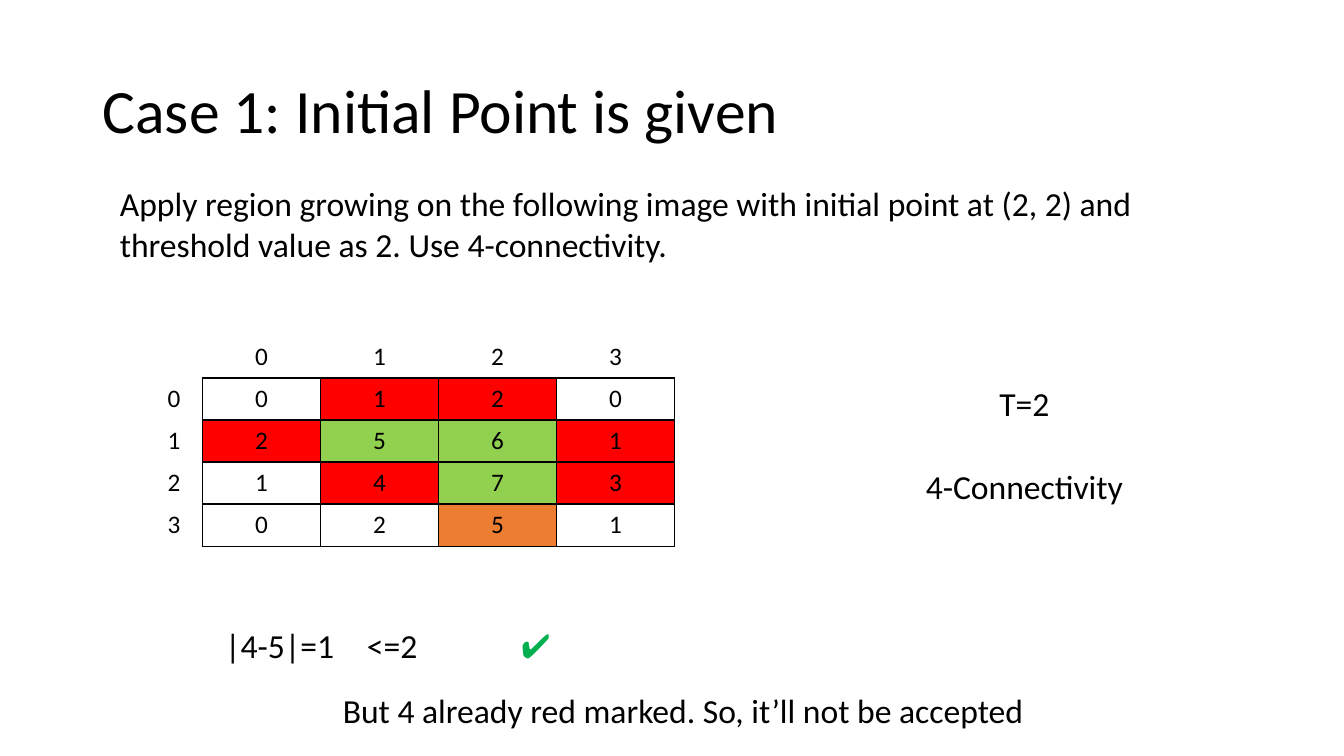
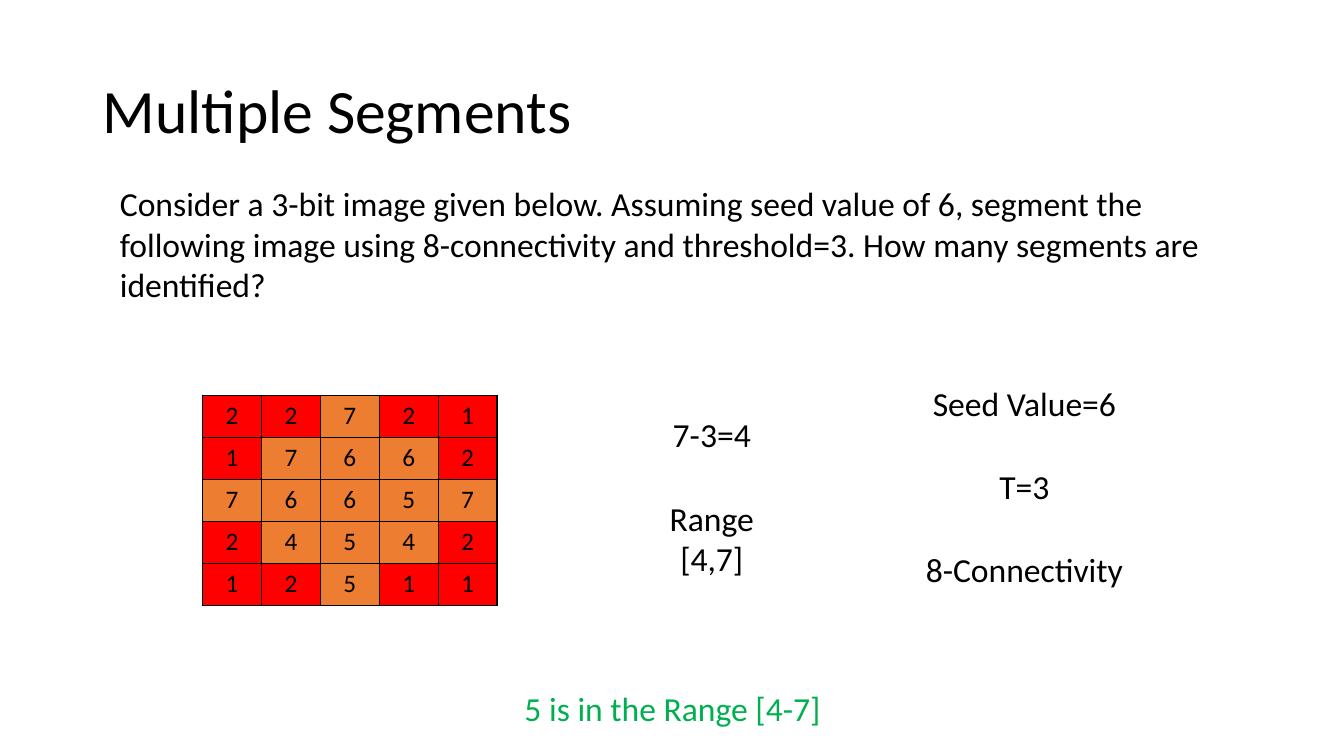
"""Build two slides on region growing in image segmentation."""
from dataclasses import dataclass

import lxml.etree
import pptx
import pptx.dml.color
import pptx.enum.text
import pptx.oxml.ns
import pptx.slide
import pptx.table
import pptx.util

Inches = pptx.util.Inches
Align = pptx.enum.text.PP_ALIGN
Anchor = pptx.enum.text.MSO_ANCHOR


@dataclass(frozen=True)
class Theme:
    font: str = "Calibri"
    ink: str = "000000"
    accent: str = "00B050"
    rejected: str = "FF0000"
    accepted: str = "92D050"
    current: str = "ED7D31"
    title_size: int = 44
    body_size: int = 24
    cell_size: int = 18
    border_width: int = 1


THEME = Theme()
MARKS = {"r": THEME.rejected, "g": THEME.accepted, "o": THEME.current}
ROW_HEIGHT = 0.417
GRID_LEFT = 2.01
FACTS_TOP = 3.75
FACTS_STEP = 0.825


@dataclass(frozen=True)
class Label:
    text: str
    left: float
    top: float
    width: float
    height: float = 0.5
    align: Align = Align.CENTER
    color: str = THEME.ink


@dataclass(frozen=True)
class Grid:
    left: float
    top: float
    column_width: float
    rows: tuple[str, ...]
    marks: tuple[str, ...] = ()
    bordered: bool = False


@dataclass(frozen=True)
class Page:
    title: str
    task: str
    task_height: float
    facts: tuple[str, ...]
    grids: tuple[Grid, ...]
    labels: tuple[Label, ...]


PAGES = (
    Page(
        title="Case 1: Initial Point is given",
        task="Apply region growing on the following image with initial point at (2, 2) "
             "and threshold value as 2. Use 4-connectivity.",
        task_height=0.91,
        facts=("T=2", "4-Connectivity"),
        grids=(
            Grid(GRID_LEFT, 3.75, 1.17, ("0120", "2561", "1473", "0251"),
                 (".rr.", "rggr", ".rgr", "..o."), bordered=True),
            Grid(GRID_LEFT, 3.75 - ROW_HEIGHT, 1.17, ("0123",)),
            Grid(1.44, 3.75, 0.57, ("0", "1", "2", "3")),
        ),
        labels=(
            Label("|4-5|=1", 2.01, 6.15, 1.53),
            Label("<=2", 3.54, 6.15, 1.53, align=Align.LEFT),
            Label("✔", 5.07, 6.15, 0.56, align=Align.LEFT, color=THEME.accent),
            Label("But 4 already red marked. So, it’ll not be accepted", 2.15, 6.8, 9.25),
        ),
    ),
    Page(
        title="Multiple Segments",
        task="Consider a 3-bit image given below. Assuming seed value of 6, segment the "
             "following image using 8-connectivity and threshold=3. "
             "How many segments are identified?",
        task_height=1.31,
        facts=("Seed Value=6", "T=3", "8-Connectivity"),
        grids=(
            Grid(GRID_LEFT, 3.92, 0.584, ("22721", "17662", "76657", "24542", "12511"),
                 ("rrorr", "rooor", "ooooo", "rooor", "rrorr"), bordered=True),
        ),
        labels=(
            Label("7-3=4", 6.21, 4.06, 1.7),
            Label("Range\n[4,7]", 6.21, 4.89, 1.7, 0.91),
            Label("5 is in the Range [4-7]", 3.81, 6.78, 5.72, color=THEME.accent),
        ),
    ),
)


def set_font(paragraph, size: int, color: str = THEME.ink) -> None:
    paragraph.font.name = THEME.font
    paragraph.font.size = pptx.util.Pt(size)
    paragraph.font.color.rgb = pptx.dml.color.RGBColor.from_string(color)


def add_label(slide: pptx.slide.Slide, label: Label, size: int = THEME.body_size,
              anchor: Anchor = Anchor.TOP, line_spacing: float = 1.0) -> None:
    box = slide.shapes.add_textbox(Inches(label.left), Inches(label.top),
                                   Inches(label.width), Inches(label.height))
    frame = box.text_frame
    frame.word_wrap = True
    frame.vertical_anchor = anchor
    frame.text = label.text
    for paragraph in frame.paragraphs:
        paragraph.alignment = label.align
        paragraph.line_spacing = line_spacing
        set_font(paragraph, size, label.color)


def set_borders(cell: pptx.table._Cell, visible: bool) -> None:
    qn = pptx.oxml.ns.qn
    properties = cell._tc.get_or_add_tcPr()
    for side in ("a:lnL", "a:lnR", "a:lnT", "a:lnB"):
        line = lxml.etree.SubElement(properties, qn(side))
        if visible:
            line.set("w", str(pptx.util.Pt(THEME.border_width)))
            fill = lxml.etree.SubElement(line, qn("a:solidFill"))
            lxml.etree.SubElement(fill, qn("a:srgbClr"), val=THEME.ink)
        else:
            lxml.etree.SubElement(line, qn("a:noFill"))


def add_grid(slide: pptx.slide.Slide, grid: Grid) -> None:
    row_count, column_count = len(grid.rows), len(grid.rows[0])
    table = slide.shapes.add_table(
        row_count, column_count, Inches(grid.left), Inches(grid.top),
        Inches(grid.column_width * column_count), Inches(ROW_HEIGHT * row_count)).table
    table.first_row = table.horz_banding = False
    for column in table.columns:
        column.width = Inches(grid.column_width)
    marks = grid.marks or ("." * column_count,) * row_count
    for row, values, row_marks in zip(table.rows, grid.rows, marks):
        row.height = Inches(ROW_HEIGHT)
        for cell, value, mark in zip(row.cells, values, row_marks):
            cell.text = value
            cell.vertical_anchor = Anchor.MIDDLE
            paragraph = cell.text_frame.paragraphs[0]
            paragraph.alignment = Align.CENTER
            set_font(paragraph, THEME.cell_size)
            set_borders(cell, grid.bordered)
            if mark in MARKS:
                cell.fill.solid()
                cell.fill.fore_color.rgb = pptx.dml.color.RGBColor.from_string(MARKS[mark])
            else:
                cell.fill.background()


def add_page(deck, page: Page) -> None:
    slide = deck.slides.add_slide(deck.slide_layouts[6])
    add_label(slide, Label(page.title, 0.92, 0.4, 11.5, 1.45, Align.LEFT),
              THEME.title_size, Anchor.MIDDLE, 0.9)
    add_label(slide, Label(page.task, 1.09, 1.77, 11.38, page.task_height, Align.LEFT))
    for grid in page.grids:
        add_grid(slide, grid)
    for index, fact in enumerate(page.facts):
        add_label(slide, Label(fact, 8.92, FACTS_TOP + index * FACTS_STEP, 2.48))
    for label in page.labels:
        add_label(slide, label)


def main() -> None:
    deck = pptx.Presentation()
    deck.slide_width, deck.slide_height = Inches(13.33), Inches(7.5)
    for page in PAGES:
        add_page(deck, page)
    deck.save("out.pptx")


if __name__ == "__main__":
    main()
